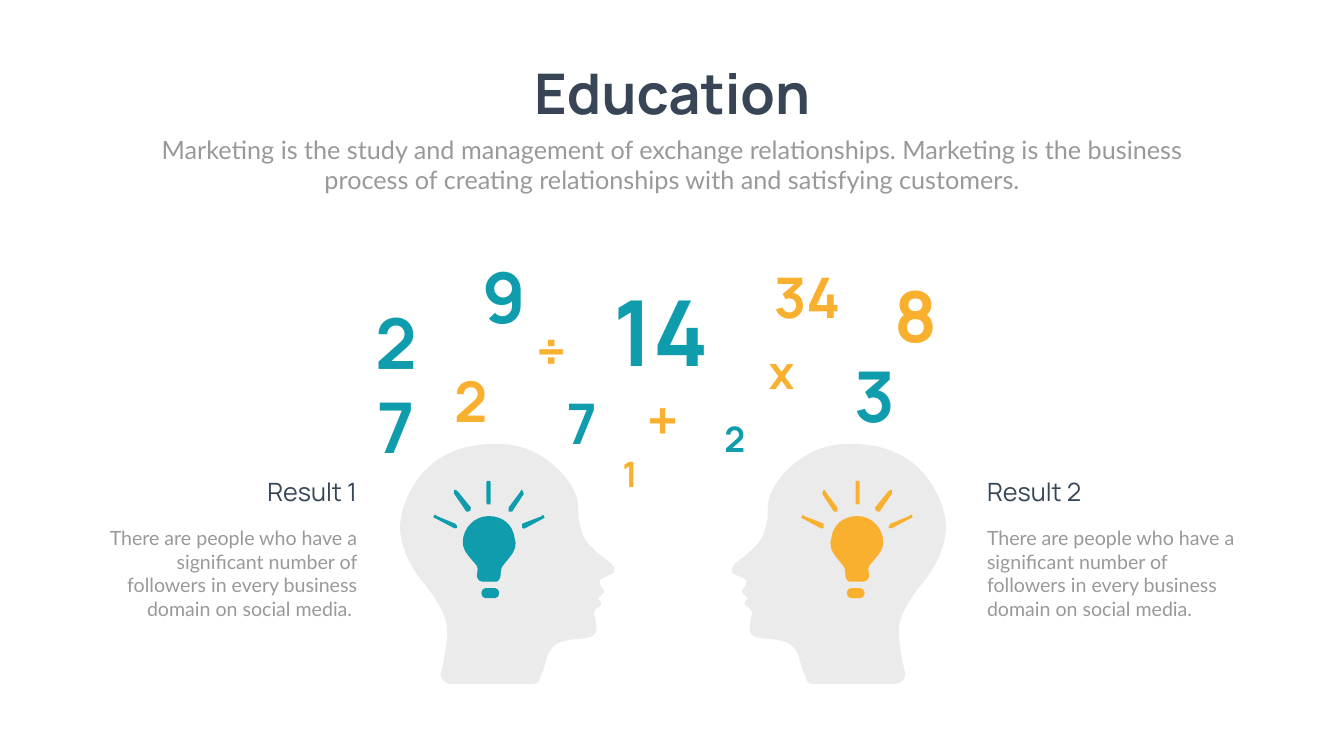
from itertools import islice
from typing import NamedTuple

from lxml import etree
from pptx import Presentation
from pptx.dml.color import RGBColor
from pptx.enum.text import MSO_AUTO_SIZE, PP_ALIGN
from pptx.oxml.ns import qn
from pptx.util import Pt

PX = 9144  # EMU in one px, 100 px to the inch
FLIP = 2670  # mirrored x = FLIP - x

DARK, GREY, PALE = "374556", "999999", "EBEBEB"
TEAL, GOLD = "0F9DAD", "FAB02F"
HEAD_FONT, BODY_FONT = "Manrope", "Lato"
LEFT, MID, RIGHT = PP_ALIGN.LEFT, PP_ALIGN.CENTER, PP_ALIGN.RIGHT


class Label(NamedTuple):
    text: str
    x: int
    y: int
    w: int
    h: int
    size: int
    color: str
    font: str = HEAD_FONT
    bold: bool = False
    align: PP_ALIGN = MID
    wrap: bool = True
    inset: int = 10


class Outline(NamedTuple):
    start: tuple
    steps: list  # two numbers: a line; six numbers: a Bezier curve


def paint(fill, color: str) -> None:
    fill.solid()
    fill.fore_color.rgb = RGBColor.from_string(color)


def write(shapes, label: Label) -> None:
    box = shapes.add_textbox(*(n * PX for n in label[1:5]))
    frame = box.text_frame
    frame.word_wrap = label.wrap
    frame.auto_size = MSO_AUTO_SIZE.SHAPE_TO_FIT_TEXT
    frame.margin_left = frame.margin_right = label.inset * PX
    frame.text = label.text
    para = frame.paragraphs[0]
    para.alignment = label.align
    font = para.runs[0].font
    font.name, font.size, font.bold = label.font, Pt(label.size), label.bold
    font.color.rgb = RGBColor.from_string(label.color)


def bend(shape, steps: list) -> None:
    """Merge the three lines of each curve into one Bezier element."""
    lines = iter(list(shape.element.iter(qn("a:lnTo"))))
    for step in steps:
        first, *rest = islice(lines, len(step) // 2)
        if not rest:
            continue
        curve = etree.Element(qn("a:cubicBezTo"))
        first.addprevious(curve)
        for line in (first, *rest):
            curve.append(line[0])
            line.getparent().remove(line)


def draw(shapes, outline: Outline, color: str, flip: bool) -> None:
    knots = [outline.start]
    for step in outline.steps:
        knots += zip(step[::2], step[1::2])
    points = [((FLIP - x if flip else x) * PX, y * PX) for x, y in knots]
    pen = shapes.build_freeform(*points[0], scale=1.0)
    pen.add_line_segments(points[1:], close=True)
    shape = pen.convert_to_shape()
    bend(shape, outline.steps)
    shape.shadow.inherit = False
    paint(shape.fill, color)
    shape.line.fill.background()


# Head that looks left
HEAD = Outline((1828, 1159), [
    (1851, 1132, 1883, 1080, 1875, 1029), (1867, 982, 1828, 895, 1721, 883),
    (1689, 879, 1634, 875, 1583, 914), (1539, 946, 1523, 985, 1523, 1005),
    (1523, 1025, 1523, 1037, 1515, 1057), (1512, 1077, 1480, 1100, 1476, 1104),
    (1460, 1116, 1448, 1124, 1452, 1136), (1460, 1143, 1480, 1147, 1480, 1151),
    (1484, 1155, 1476, 1163, 1476, 1167), (1472, 1167, 1472, 1171, 1472, 1171),
    (1472, 1175, 1472, 1179, 1476, 1179), (1476, 1183, 1480, 1183, 1484, 1187),
    (1480, 1191), (1476, 1195, 1476, 1199, 1480, 1203),
    (1488, 1207, 1488, 1207, 1492, 1215), (1492, 1223, 1484, 1239, 1488, 1254),
    (1492, 1270, 1528, 1266, 1543, 1270), (1559, 1274, 1571, 1274, 1583, 1298),
    (1587, 1310, 1591, 1329, 1599, 1345), (1599, 1353, 1607, 1357, 1614, 1357),
    (1776, 1357), (1788, 1357, 1796, 1345, 1796, 1337),
    (1788, 1305, 1780, 1262, 1784, 1239), (1788, 1215, 1808, 1183, 1828, 1159),
])

# Base, glass and five rays of the bulb
BULB = [
    Outline((1707, 1187), [
        (1688, 1187), (1684, 1187, 1680, 1183, 1680, 1175),
        (1680, 1171, 1684, 1167, 1688, 1167), (1707, 1167),
        (1711, 1167, 1715, 1171, 1715, 1175), (1715, 1183, 1711, 1187, 1707, 1187)]),
    Outline((1677, 1142), [
        (1677, 1146, 1681, 1154, 1685, 1154), (1713, 1154),
        (1721, 1154, 1724, 1146, 1724, 1142), (1724, 1142, 1721, 1127, 1724, 1123),
        (1736, 1107, 1752, 1095, 1752, 1076), (1752, 1048, 1729, 1024, 1701, 1024),
        (1673, 1024, 1653, 1040, 1649, 1068), (1641, 1091, 1661, 1107, 1673, 1123),
        (1677, 1127, 1677, 1142, 1677, 1142)]),
    Outline((1701, 1001), [
        (1697, 1001, 1697, 1001, 1697, 997), (1697, 958),
        (1697, 954, 1697, 954, 1701, 954), (1705, 954, 1705, 954, 1705, 958),
        (1705, 997), (1705, 1001, 1705, 1001, 1701, 1001)]),
    Outline((1661, 1015), [
        (1658, 1015, 1658, 1015, 1654, 1015), (1631, 980),
        (1631, 976, 1631, 976, 1634, 972), (1634, 972, 1638, 972, 1638, 976),
        (1661, 1007), (1661, 1011, 1661, 1015, 1661, 1015)]),
    Outline((1634, 1047), [
        (1634, 1047, 1631, 1051, 1626, 1047), (1591, 1028),
        (1591, 1028, 1587, 1028, 1591, 1024), (1591, 1020, 1595, 1020, 1595, 1024),
        (1634, 1039), (1634, 1043, 1634, 1043, 1634, 1047)]),
    Outline((1741, 1015), [
        (1745, 1015), (1769, 980), (1769, 976, 1769, 976, 1769, 972),
        (1765, 972, 1765, 972, 1761, 976), (1736, 1007),
        (1736, 1011, 1736, 1015, 1741, 1015)]),
    Outline((1763, 1047), [
        (1767, 1047, 1767, 1051, 1771, 1047), (1807, 1028),
        (1810, 1028, 1810, 1028, 1810, 1024), (1807, 1020, 1807, 1020, 1803, 1024),
        (1767, 1039), (1763, 1043, 1763, 1043, 1763, 1047)]),
]

INTRO = ("Marketing is the study and management of exchange relationships. "
         "Marketing is the business process of creating relationships with "
         "and satisfying customers.")
NOTE = ("There are people who have a significant number of followers "
        "in every business domain on social media.")

# Text, left, top, width, height, size, colour
SIGNS = [
    ("2", 891, 722, 84, 145, 80, GOLD),
    ("34", 1519, 516, 164, 145, 80, GOLD),
    ("7", 1114, 766, 80, 145, 80, TEAL),
    ("÷", 1051, 624, 85, 145, 80, GOLD),
    ("14", 1206, 542, 212, 229, 130, TEAL),
    ("x", 1513, 677, 75, 121, 66, GOLD),
    ("+", 1269, 759, 91, 145, 80, GOLD),
    ("9", 948, 498, 106, 178, 100, TEAL),
    ("3", 1683, 695, 105, 178, 100, TEAL),
    ("2", 1427, 823, 60, 94, 50, TEAL),
    ("1", 1225, 893, 46, 94, 50, GOLD),
    ("8", 1761, 536, 111, 178, 100, GOLD),
]


def main() -> None:
    deck = Presentation()
    deck.slide_width, deck.slide_height = 2666 * PX, 1500 * PX
    slide = deck.slides.add_slide(deck.slide_layouts[6])
    paint(slide.background.fill, "FEFFFE")
    shapes = slide.shapes

    # Title and intro
    write(shapes, Label("Education", 1032, 112, 603, 145, 80, DARK,
                        bold=True, wrap=False))
    write(shapes, Label(INTRO, 292, 261, 2082, 131, 36, GREY, BODY_FONT))

    # Heads with bulbs
    for color, flip in ((GOLD, False), (TEAL, True)):
        draw(shapes, HEAD, PALE, flip)
        group = shapes.add_group_shape().shapes
        for part in BULB:
            draw(group, part, color, flip)

    # Results beside the heads
    for name, note, x, head_x, align in (
            ("Result 2", NOTE, 1948, 1948, LEFT),
            ("Result 1", NOTE + " ", 186, 183, RIGHT)):
        group = shapes.add_group_shape().shapes
        write(group, Label(note, x, 1039, 532, 199, 28, GREY, BODY_FONT, align=align))
        write(group, Label(name, head_x, 941, 535, 71, 36, DARK, align=align))

    # Numbers and signs; wide insets stack the digits of 27
    for sign in SIGNS:
        write(shapes, Label(*sign, bold=True, wrap=False))
    write(shapes, Label("27", 699, 589, 175, 178, 100, TEAL, bold=True, inset=35))

    deck.save("out.pptx")


if __name__ == "__main__":
    main()
